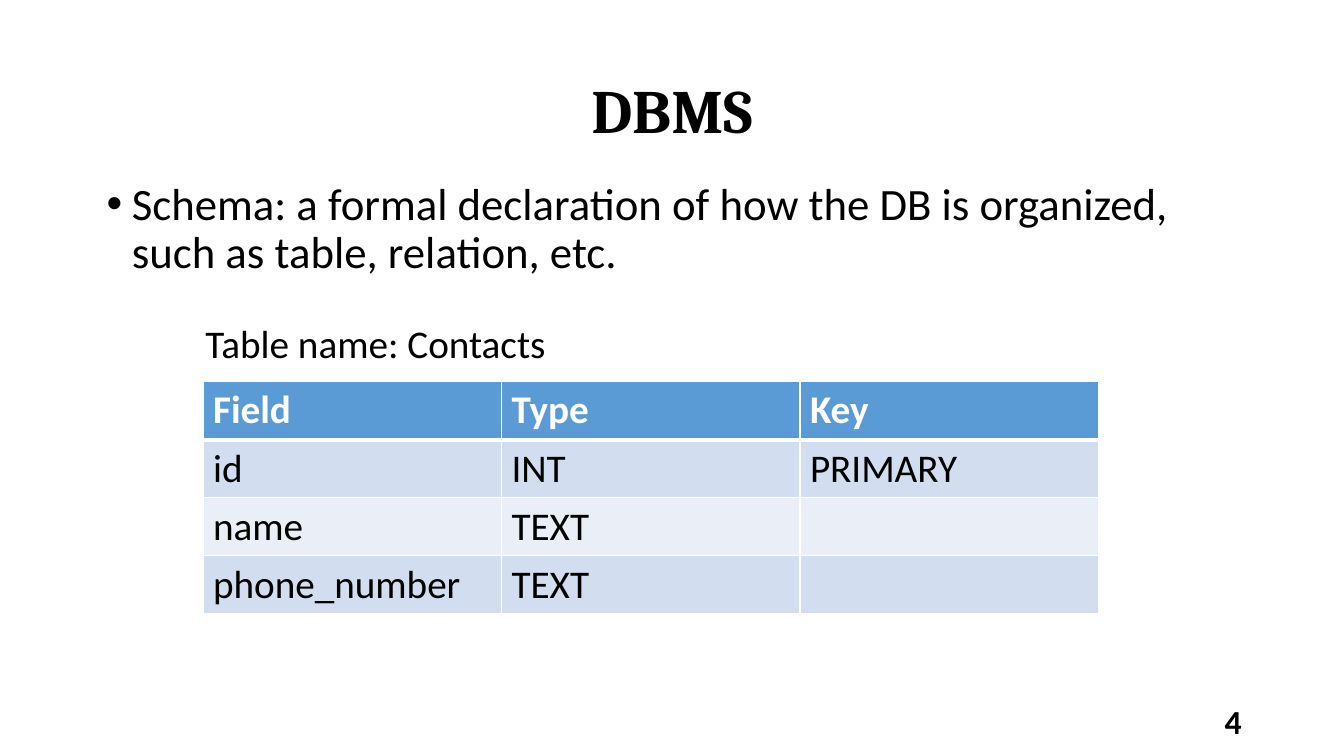
from pptx import Presentation
from pptx.dml.color import RGBColor
from pptx.enum.text import MSO_ANCHOR, MSO_AUTO_SIZE, PP_ALIGN
from pptx.oxml import parse_xml
from pptx.oxml.ns import nsdecls
from pptx.util import Pt

LEFT, MID, RIGHT = PP_ALIGN.LEFT, PP_ALIGN.CENTER, PP_ALIGN.RIGHT
TOP, CENTER = MSO_ANCHOR.TOP, MSO_ANCHOR.MIDDLE
FIXED = MSO_AUTO_SIZE.NONE

COLORS = {
    "ink": "000000",
    "paper": "FFFFFF",
    "head": "5B9BD5",
    "odd": "D2DEEF",
    "even": "EAEFF7",
}
FIELDS = [
    ["Field", "Type", "Key"],
    ["id", "INT", "PRIMARY"],
    ["name", "TEXT", ""],
    ["phone_number", "TEXT", ""],
]


def color(name):
    return RGBColor.from_string(COLORS[name])


def place(shape, box):
    shape.left, shape.top, shape.width, shape.height = map(Pt, box)


def write(frame, text, size, font="Calibri", ink="ink", bold=False, align=LEFT):
    frame.text = text
    par = frame.paragraphs[0]
    par.alignment = align
    for run in par.runs:
        run.font.name = font
        run.font.size = Pt(size)
        run.font.bold = bold
        run.font.color.rgb = color(ink)
    return par


def fit(frame, anchor, wrap=True):
    frame.auto_size = FIXED
    frame.word_wrap = wrap
    frame.vertical_anchor = anchor


def add_title(slide, box):
    title = slide.shapes.title
    place(title, box)
    fit(title.text_frame, CENTER)
    par = write(title.text_frame, "DBMS", 44, "Cambria", bold=True, align=MID)
    par.line_spacing = 0.9


def add_body(slide, box):
    body = slide.placeholders[1]
    place(body, box)
    fit(body.text_frame, TOP)
    par = write(body.text_frame, "Schema: a formal declaration of how the DB is "
                "organized, such as table, relation, etc.", 32)
    par.line_spacing = 0.9
    par.space_before = Pt(10)
    # Hanging bullet
    props = par._p.get_or_add_pPr()
    props.set("marL", str(Pt(18)))
    props.set("indent", str(Pt(-18)))
    props.append(parse_xml(f'<a:buFont {nsdecls("a")} typeface="Arial"/>'))
    props.append(parse_xml(f'<a:buChar {nsdecls("a")} char="•"/>'))


def add_label(slide, box, text, size, anchor=TOP, wrap=True, **style):
    label = slide.shapes.add_textbox(*map(Pt, box))
    fit(label.text_frame, anchor, wrap)
    write(label.text_frame, text, size, **style)


def add_edge(cell, side, width):
    cell._tc.get_or_add_tcPr().append(parse_xml(
        f'<a:ln{side} {nsdecls("a")} w="{Pt(width)}"><a:solidFill>'
        f'<a:srgbClr val="{COLORS["paper"]}"/></a:solidFill></a:ln{side}>'))


def add_fields(slide, box):
    rows, cols = len(FIELDS), len(FIELDS[0])
    table = slide.shapes.add_table(rows, cols, *map(Pt, box)).table
    for col in table.columns:
        col.width = Pt(box[2] / cols)
    for row in table.rows:
        row.height = Pt(box[3] / rows)
    for r, line in enumerate(FIELDS):
        head = r == 0
        fill = "head" if head else "odd" if r % 2 else "even"
        for c, text in enumerate(line):
            cell = table.cell(r, c)
            write(cell.text_frame, text, 28, bold=head,
                  ink="paper" if head else "ink")
            # Thick rule between the header and the first row
            edges = {"L": 1, "R": 1, "T": 3 if r == 1 else 1, "B": 3 if head else 1}
            for side, width in edges.items():
                add_edge(cell, side, width)
            cell.fill.solid()
            cell.fill.fore_color.rgb = color(fill)


def add_schema(deck, box):
    slide = deck.slides.add_slide(deck.slide_layouts[1])
    slide.background.fill.solid()
    slide.background.fill.fore_color.rgb = color("paper")
    x, y = box[:2]
    add_title(slide, (x + 66, y + 28.8, 828, 104.4))
    add_body(slide, (x + 69, y + 126, 828, 350))
    # Page number
    add_label(slide, (x + 678, y + 500.5, 216, 28.8), "4", 24,
              anchor=CENTER, bold=True, align=RIGHT)
    # Table with its caption
    add_fields(slide, (x + 145, y + 272.6, 639.6, 165.6))
    add_label(slide, (x + 139.6, y + 224.6, 260, 41), "Table name: Contacts", 28,
              wrap=False)


deck = Presentation()
deck.slide_width, deck.slide_height = Pt(960), Pt(540)
add_schema(deck, (0, 0, 960, 540))
deck.save("out.pptx")
